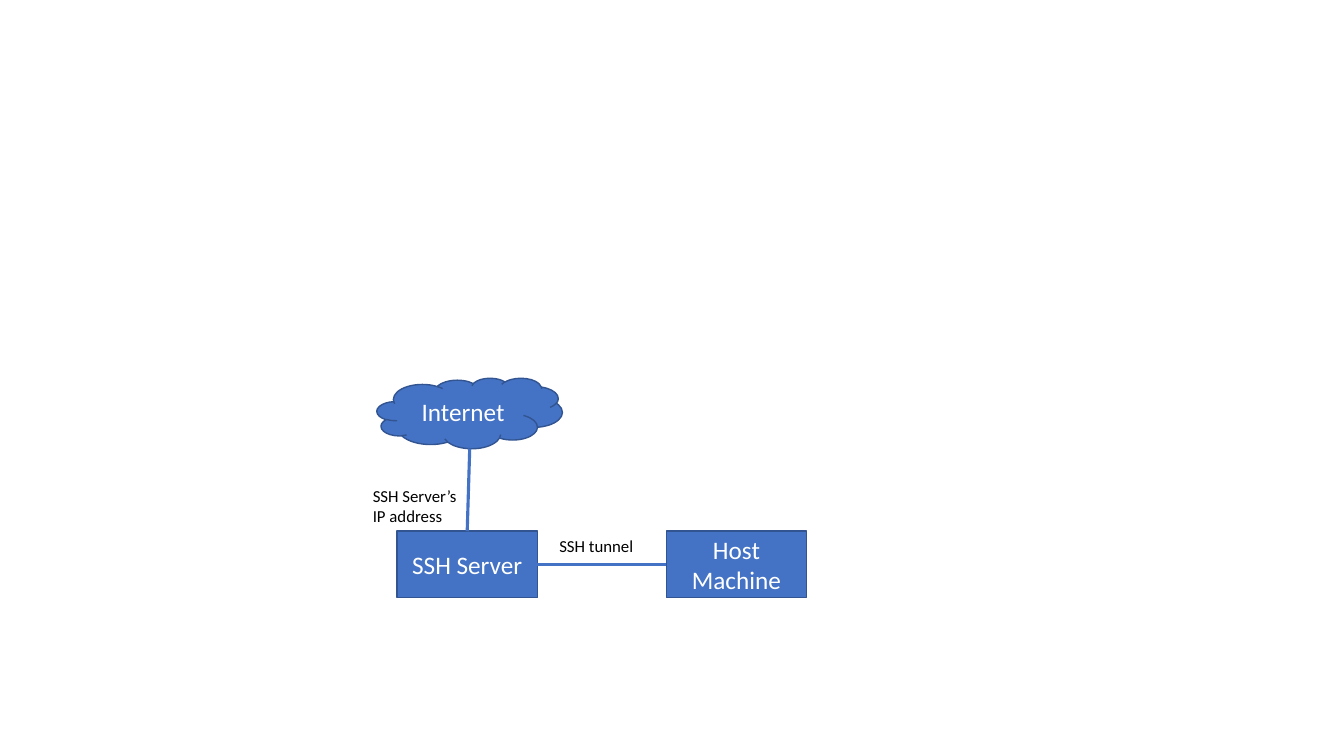
from dataclasses import dataclass

import pptx
import pptx.dml.color
import pptx.enum.shapes
import pptx.enum.text
import pptx.oxml.ns
import pptx.util
from lxml import etree
from pptx.dml.color import RGBColor
from pptx.enum.shapes import MSO_SHAPE

BLUE = RGBColor(0x44, 0x72, 0xC4)
OUTLINE = RGBColor(0x32, 0x54, 0x91)
WHITE = RGBColor(0xFF, 0xFF, 0xFF)
BLACK = RGBColor(0x00, 0x00, 0x00)
FONT = "Calibri"

SLIDE_WIDTH = pptx.util.Inches(13.33)
SLIDE_HEIGHT = pptx.util.Inches(7.5)

# Shares of the slide, in percent
MACHINE_TOP, MACHINE_WIDTH, MACHINE_HEIGHT = 70.27, 10.43, 8.8
LABEL_WIDTH = 7.88


@dataclass(frozen=True)
class Area:
    """A rectangle in percent of the slide's width and height."""

    left: float
    top: float
    width: float
    height: float

    def emu(self) -> tuple[int, int, int, int]:
        return (
            round(SLIDE_WIDTH * self.left / 100),
            round(SLIDE_HEIGHT * self.top / 100),
            round(SLIDE_WIDTH * self.width / 100),
            round(SLIDE_HEIGHT * self.height / 100),
        )


@dataclass(frozen=True)
class Node:
    text: str
    outline: MSO_SHAPE
    area: Area


@dataclass(frozen=True)
class Label:
    text: str
    area: Area


SSH_SERVER = Node("SSH Server", MSO_SHAPE.RECTANGLE,
                  Area(29.55, MACHINE_TOP, MACHINE_WIDTH, MACHINE_HEIGHT))
HOST_MACHINE = Node("Host Machine", MSO_SHAPE.RECTANGLE,
                    Area(49.58, MACHINE_TOP, MACHINE_WIDTH, MACHINE_HEIGHT))
INTERNET = Node("Internet", MSO_SHAPE.CLOUD, Area(28.05, 50, 13.8, 9.33))

LABELS = (
    Label("SSH tunnel", Area(40.88, MACHINE_TOP, LABEL_WIDTH, 4)),
    Label("SSH Server’s IP address", Area(27, 63.6, LABEL_WIDTH, 6.67)),
)


def format_text(frame, text: str, size: int, color: RGBColor) -> None:
    frame.word_wrap = True
    frame.text = text
    font = frame.paragraphs[0].runs[0].font
    font.name = FONT
    font.size = pptx.util.Pt(size)
    font.color.rgb = color


def add_node(slide, node: Node):
    shape = slide.shapes.add_shape(node.outline, *node.area.emu())
    shape.shadow.inherit = False
    shape.fill.solid()
    shape.fill.fore_color.rgb = BLUE
    shape.line.color.rgb = OUTLINE
    shape.line.width = pptx.util.Pt(1)
    format_text(shape.text_frame, node.text, 18, WHITE)
    shape.text_frame.vertical_anchor = pptx.enum.text.MSO_ANCHOR.MIDDLE
    shape.text_frame.paragraphs[0].alignment = pptx.enum.text.PP_ALIGN.CENTER
    return shape


def add_link(slide, start_x: int = 0, start_y: int = 0):
    """Add a link whose free ends lie at the given point until joined."""
    link = slide.shapes.add_connector(
        pptx.enum.shapes.MSO_CONNECTOR.STRAIGHT, start_x, start_y, start_x, start_y)
    link.line.color.rgb = BLUE
    link.line.width = pptx.util.Pt(2.25)
    etree.SubElement(link._element.spPr, pptx.oxml.ns.qn("a:effectLst"))
    return link


def add_label(slide, label: Label) -> None:
    box = slide.shapes.add_textbox(*label.area.emu())
    format_text(box.text_frame, label.text, 12, BLACK)
    box.text_frame.auto_size = pptx.enum.text.MSO_AUTO_SIZE.SHAPE_TO_FIT_TEXT


def main() -> None:
    deck = pptx.Presentation()
    deck.slide_width, deck.slide_height = SLIDE_WIDTH, SLIDE_HEIGHT
    slide = deck.slides.add_slide(deck.slide_layouts[6])

    server, host, internet = (
        add_node(slide, node) for node in (SSH_SERVER, HOST_MACHINE, INTERNET))

    tunnel = add_link(slide)
    tunnel.begin_connect(server, 3)
    tunnel.end_connect(host, 1)

    uplink = add_link(slide, internet.left + internet.width // 2,
                      internet.top + internet.height)
    uplink.end_connect(server, 0)

    for label in LABELS:
        add_label(slide, label)
    deck.save("out.pptx")


if __name__ == "__main__":
    main()
